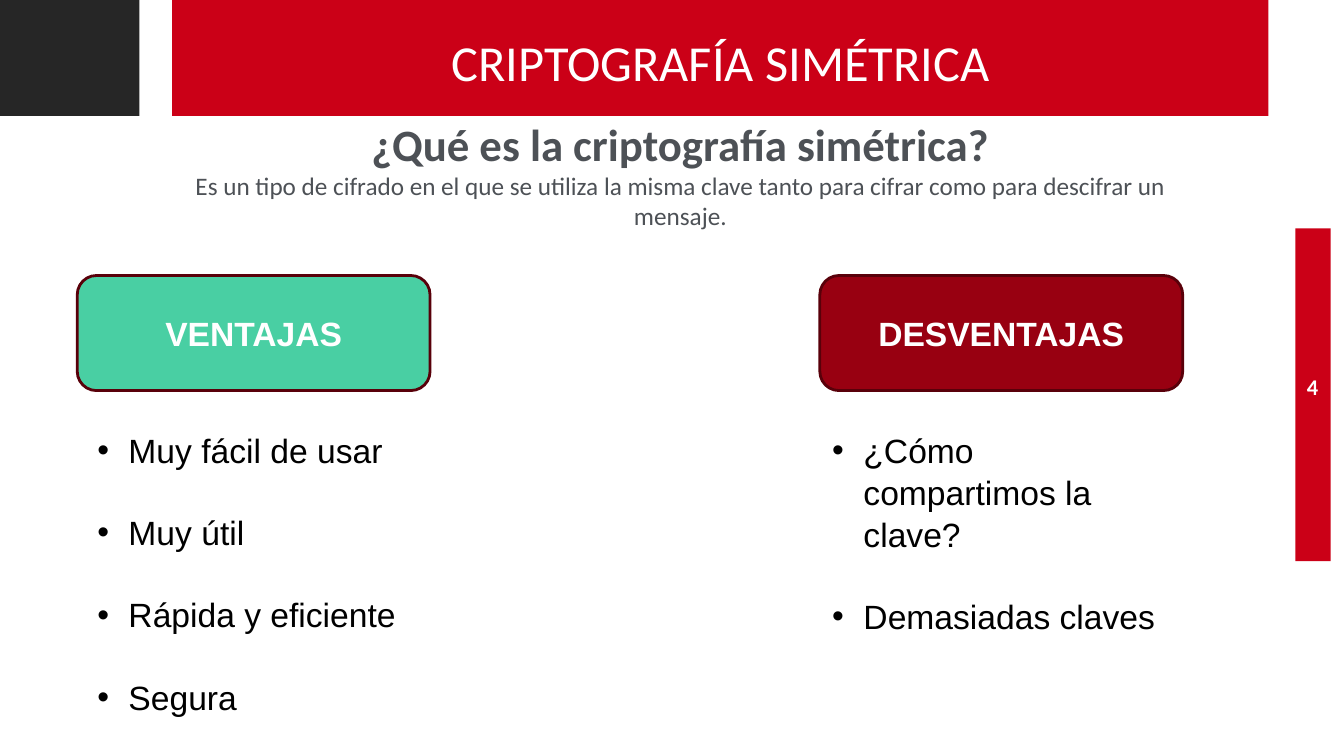
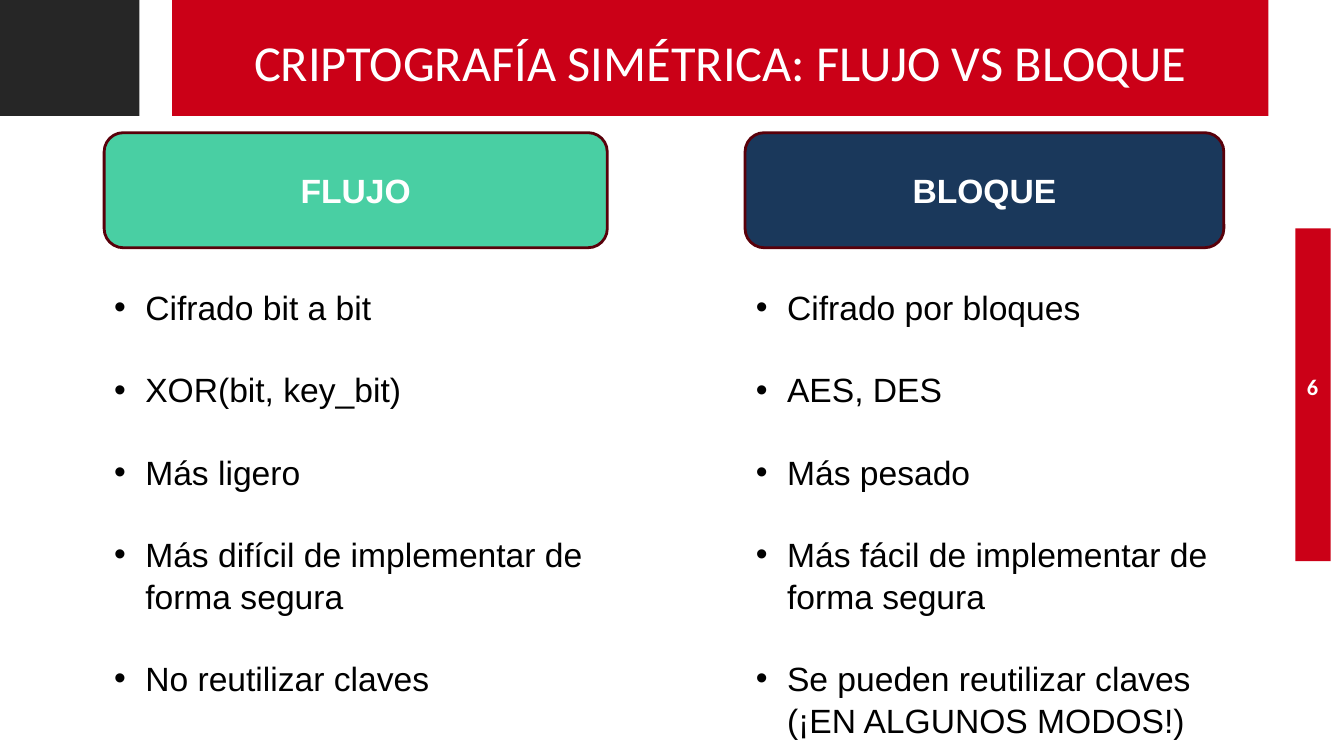
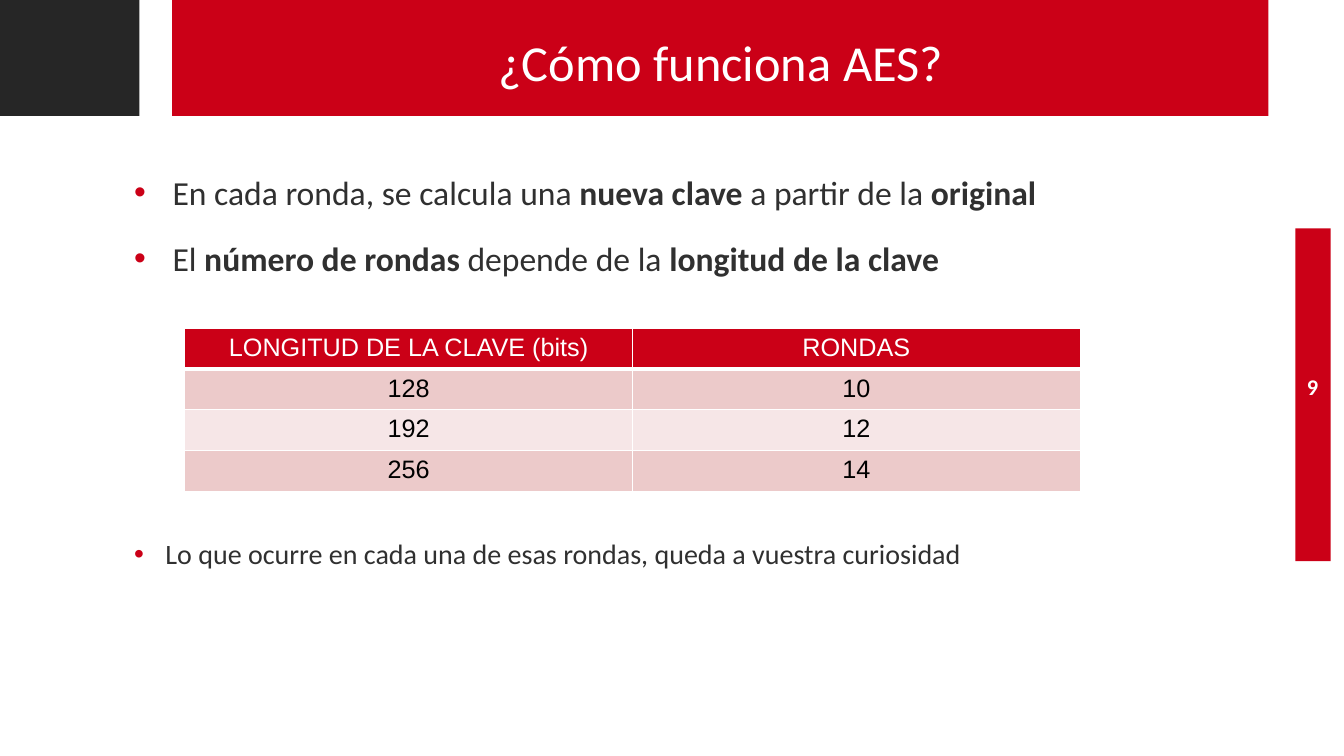
from dataclasses import dataclass

from lxml import etree
from pptx import Presentation
from pptx.dml.color import RGBColor
from pptx.enum.shapes import MSO_SHAPE
from pptx.enum.text import MSO_ANCHOR, MSO_AUTO_SIZE, PP_ALIGN
from pptx.oxml.ns import qn
from pptx.util import Inches, Pt

RECTANGLE, ROUNDED = MSO_SHAPE.RECTANGLE, MSO_SHAPE.ROUNDED_RECTANGLE
LEFT, CENTER = PP_ALIGN.LEFT, PP_ALIGN.CENTER
TOP, MIDDLE, BOTTOM = MSO_ANCHOR.TOP, MSO_ANCHOR.MIDDLE, MSO_ANCHOR.BOTTOM


@dataclass(frozen=True)
class Theme:
    red: str = "CB0017"
    dark: str = "262626"
    white: str = "FFFFFF"
    black: str = "000000"
    grey: str = "4D5156"
    ink: str = "303030"
    green: str = "49CFA3"
    crimson: str = "980011"
    navy: str = "1A385B"
    outline: str = "59000A"
    row_tints: tuple = ("ECCACA", "F6E6E7")
    heading_font: str = "Calibri"
    list_font: str = "Arial"
    title: int = 36
    question: int = 32
    large: int = 24
    medium: int = 20
    small: int = 18
    number: int = 16


theme = Theme()
deck = Presentation()
deck.slide_width, deck.slide_height = Inches(13.33), Inches(7.5)
COLUMN, ROW = deck.slide_width / 16, deck.slide_height / 9


def place(column, row, columns, rows):
    return [round(n * unit) for n, unit in
            zip((column, row, columns, rows), (COLUMN, ROW, COLUMN, ROW))]


def write(para, text, size, color, font, bold=False, align=LEFT, bullet=None, indent=0.31):
    para.alignment = align
    para.font.size, para.font.name, para.font.bold = Pt(size), font, bold
    para.font.color.rgb = RGBColor.from_string(color)
    for part in [text] if isinstance(text, str) else text:
        span = para.add_run()
        if isinstance(part, tuple):
            span.text, span.font.bold = part[0], True
        else:
            span.text = part
    if bullet:
        properties = para._p.get_or_add_pPr()
        properties.set("marL", str(Inches(indent)))
        properties.set("indent", str(-Inches(indent)))
        tint = etree.Element(qn("a:buClr"))
        etree.SubElement(tint, qn("a:srgbClr"), val=bullet)
        face = etree.Element(qn("a:buFont"), typeface="Arial")
        mark = etree.Element(qn("a:buChar"), char="•")
        defaults = properties.find(qn("a:defRPr"))
        for element in (tint, face, mark):
            defaults.addprevious(element)


layout = deck.slide_layouts[5]
titles = [
    ("CRIPTOGRAFÍA SIMÉTRICA", "4"),
    ("CRIPTOGRAFÍA SIMÉTRICA: FLUJO VS BLOQUE", "6"),
    ("¿Cómo funciona AES?", "9"),
]
pages = [deck.slides.add_slide(layout) for _ in titles]

bands = [
    (theme.red, 15.42, 2.72, 0.42, 3.96),
    (theme.red, 2.05, 0, 13.05, 1.38),
    (theme.dark, 0, 0, 1.66, 1.38),
]
for color, *area in bands:
    band = pages[0].shapes.add_shape(RECTANGLE, *place(*area))
    band.shadow.inherit = False
    band.fill.solid()
    band.fill.fore_color.rgb = RGBColor.from_string(color)
    band.line.fill.background()
    layout.shapes.element.insert(2, band.element)

for page, (heading, number) in zip(pages, titles):
    title = page.shapes.title
    title.left, title.top, title.width, title.height = place(2.06, 0.07, 13.04, 1.08)
    title.text_frame.auto_size = MSO_AUTO_SIZE.NONE
    title.text_frame.vertical_anchor = BOTTOM
    write(title.text_frame.paragraphs[0], heading, theme.title, theme.white,
          theme.heading_font, align=CENTER)
    box = page.shapes.add_textbox(*place(15.18, 4.36, 0.89, 0.48))
    box.text_frame.word_wrap = True
    box.text_frame.vertical_anchor = MIDDLE
    write(box.text_frame.paragraphs[0], number, theme.number, theme.white,
          theme.heading_font, bold=True, align=CENTER)

intro = pages[0].shapes.add_textbox(*place(1.97, 1.33, 12.26, 1.86)).text_frame
intro.word_wrap = True
write(intro.paragraphs[0], "¿Qué es la criptografía simétrica?", theme.question,
      theme.grey, theme.heading_font, bold=True, align=CENTER)
write(intro.add_paragraph(),
      "Es un tipo de cifrado en el que se utiliza la misma clave tanto para cifrar "
      "como para descifrar un mensaje.",
      theme.small, theme.grey, theme.heading_font, align=CENTER)

comparisons = [
    (pages[0], 3.28, [
        ("VENTAJAS", theme.green, 0.92, 4.2, 1.04, 4.08,
         ["Muy fácil de usar", "Muy útil", "Rápida y eficiente", "Segura"]),
        ("DESVENTAJAS", theme.crimson, 9.76, 4.32, 9.79, 4.08,
         ["¿Cómo compartimos la clave?", "Demasiadas claves"]),
    ]),
    (pages[1], 1.58, [
        ("FLUJO", theme.green, 1.24, 5.99, 1.24, 5.99,
         ["Cifrado bit a bit", "XOR(bit, key_bit)", "Más ligero",
          "Más difícil de implementar de forma segura", "No reutilizar claves"]),
        ("BLOQUE", theme.navy, 8.87, 5.7, 8.88, 5.69,
         ["Cifrado por bloques", "AES, DES", "Más pesado",
          "Más fácil de implementar de forma segura",
          "Se pueden reutilizar claves (¡EN ALGUNOS MODOS!)"]),
    ]),
]
for page, row, sides in comparisons:
    for label, color, column, columns, list_column, list_columns, points in sides:
        pill = page.shapes.add_shape(ROUNDED, *place(column, row, columns, 1.37))
        pill.shadow.inherit = False
        pill.fill.solid()
        pill.fill.fore_color.rgb = RGBColor.from_string(color)
        pill.line.color.rgb = RGBColor.from_string(theme.outline)
        pill.line.width = Pt(2)
        pill.text_frame.vertical_anchor = MIDDLE
        write(pill.text_frame.paragraphs[0], label, theme.large, theme.white,
              theme.list_font, bold=True, align=CENTER)
        frame = page.shapes.add_textbox(
            *place(list_column, row + 1.76, list_columns, 3.5)).text_frame
        frame.word_wrap = True
        for index, point in enumerate(points):
            para = frame.add_paragraph() if index else frame.paragraphs[0]
            para.line_spacing = 1.04
            para.space_before = Pt(28.8 if index else 0)
            write(para, point, theme.large, theme.black, theme.list_font, bullet=theme.black)

body = pages[2].shapes.add_textbox(*place(1.48, 1.99, 13.04, 5.69)).text_frame
body.word_wrap = True
statements = [
    (["En cada ronda, se calcula una ", ("nueva clave",), " a partir de la ", ("original",)],
     theme.large, 0, 0.38),
    (["El ", ("número de rondas ",), "depende de la ", ("longitud de la clave",)],
     theme.large, 18, 0.38),
    ("Lo que ocurre en cada una de esas rondas, queda a vuestra curiosidad",
     theme.medium, 185, 0.31),
]
for index, (text, size, gap, indent) in enumerate(statements):
    para = body.add_paragraph() if index else body.paragraphs[0]
    para.space_before = Pt(gap)
    write(para, text, size, theme.ink, theme.heading_font, bullet=theme.red, indent=indent)

rounds = [("LONGITUD DE LA CLAVE (bits)", "RONDAS"), ("128", "10"), ("192", "12"), ("256", "14")]
table = pages[2].shapes.add_table(len(rounds), 2, *place(2.2, 3.91, 10.66, 1.94)).table
for row, values in enumerate(rounds):
    for column, value in enumerate(values):
        cell = table.cell(row, column)
        cell.vertical_anchor = TOP
        write(cell.text_frame.paragraphs[0], value, theme.small,
              theme.black if row else theme.white, theme.list_font, align=CENTER)
        properties = cell._tc.get_or_add_tcPr()
        for side in ("lnL", "lnR", "lnT", "lnB"):
            thick = (row, side) in ((0, "lnB"), (1, "lnT"))
            border = etree.SubElement(properties, qn(f"a:{side}"), w=str(Pt(3 if thick else 1)))
            paint = etree.SubElement(border, qn("a:solidFill"))
            etree.SubElement(paint, qn("a:srgbClr"), val=theme.white)
        cell.fill.solid()
        cell.fill.fore_color.rgb = RGBColor.from_string(
            theme.row_tints[(row - 1) % 2] if row else theme.red)

deck.save("out.pptx")
